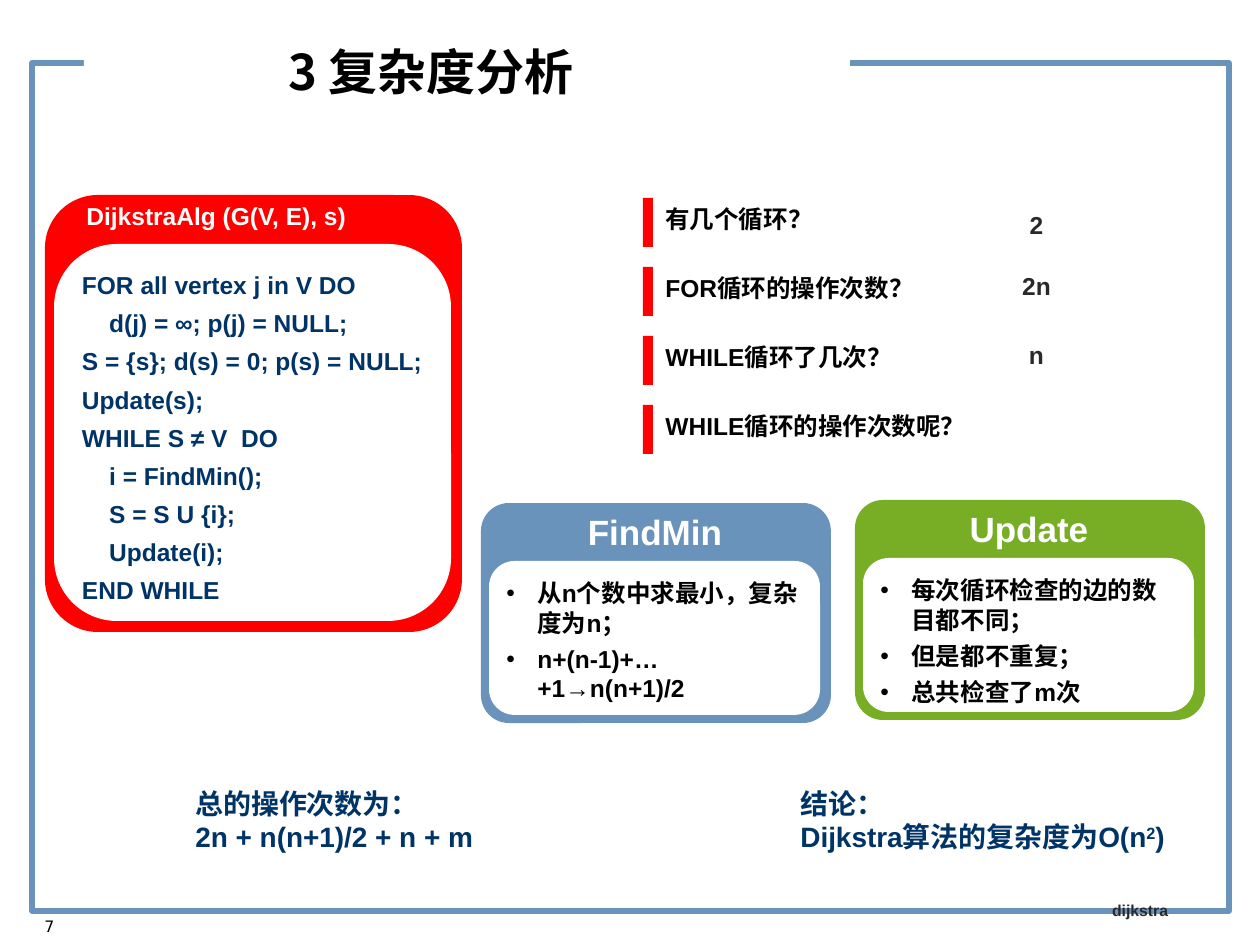
from lxml import etree
from pptx import Presentation
from pptx import util as u
from pptx.dml.color import RGBColor
from pptx.enum import shapes, text
from pptx.oxml.ns import qn

PX = u.Inches(1) / 126
LATIN, HAN = "Arial", "Noto Sans CJK SC"
BLUE, GREEN, RED, WHITE = "6A93BC", "77AE26", "FF0000", "FFFFFF"
BLACK, NAVY, GREY = "000000", "003366", "292929"
RECT = shapes.MSO_SHAPE.RECTANGLE
ROUND = shapes.MSO_SHAPE.ROUNDED_RECTANGLE
CENTER = text.PP_ALIGN.CENTER

CODE = [
    "FOR all vertex j in V DO",
    "    d(j) = ∞; p(j) = NULL;",
    "S = {s}; d(s) = 0; p(s) = NULL;",
    "Update(s);",
    "WHILE S ≠ V  DO",
    "    i = FindMin();",
    "    S = S U {i};",
    "    Update(i);",
    "END WHILE",
]
QUESTIONS = [
    ("有几个循环？", 287),
    ("FOR循环的操作次数？", 287),
    ("WHILE循环了几次？", 287),
    ("WHILE循环的操作次数呢？", 325),
]
ANSWERS = [("2", 204), ("2n", 265), ("n", 334)]


def emu(*lengths):
    return [u.Emu(round(length * PX)) for length in lengths]


def color(value):
    return RGBColor.from_string(value)


def add_block(parent, kind, place, fill=None, line=None, corner=None):
    block = parent.shapes.add_shape(kind, *emu(*place))
    block.shadow.inherit = False
    if fill:
        block.fill.solid()
        block.fill.fore_color.rgb = color(fill)
    else:
        block.fill.background()
    if line:
        block.line.color.rgb = color(line)
        block.line.width = u.Pt(3)
    else:
        block.line.fill.background()
    if corner:
        block.adjustments[0] = corner
    return block


def add_span(para, words, size, ink, font=LATIN, bold=True, raised=False):
    span = para.add_run()
    span.text = words
    span.font.size = u.Pt(size)
    span.font.bold = bold
    span.font.name = font
    span.font.color.rgb = color(ink)
    props = span._r.get_or_add_rPr()
    etree.SubElement(props, qn("a:ea")).set("typeface", HAN)
    if raised:
        props.set("baseline", "30000")


def add_bullet(para):
    """Give the paragraph a round bullet and a hanging indent."""
    props = para._p.get_or_add_pPr()
    indent = emu(31)[0]
    props.set("marL", str(indent))
    props.set("indent", str(-indent))
    etree.SubElement(props, qn("a:buFont")).set("typeface", LATIN)
    etree.SubElement(props, qn("a:buChar")).set("char", "•")


def add_text(parent, place, lines, size, ink, align=None, spacing=None,
             bullets=False, side=None, font=LATIN, bold=True):
    """Write one paragraph per line; a tuple line holds spans, odd ones raised."""
    box = parent.shapes.add_textbox(*emu(*place))
    frame = box.text_frame
    frame.word_wrap = True
    if side is not None:
        frame.margin_left = frame.margin_right = emu(side)[0]
    for row, line in enumerate(lines):
        para = frame.add_paragraph() if row else frame.paragraphs[0]
        if align is not None:
            para.alignment = align
        if spacing:
            para.line_spacing = spacing
        if bullets:
            if row:
                para.space_before = u.Pt(4)
            add_bullet(para)
        spans = line if isinstance(line, tuple) else (line,)
        for order, words in enumerate(spans):
            add_span(para, words, size, ink, font, bold, order % 2 == 1)
    return box


def add_title(page, words):
    title = page.shapes.title
    title.element.getparent().append(title.element)
    title.left, title.top, title.width, title.height = emu(95, 32, 672, 78)
    frame = title.text_frame
    frame.vertical_anchor = text.MSO_ANCHOR.MIDDLE
    para = frame.paragraphs[0]
    para.alignment = CENTER
    add_span(para, words, 28, BLACK, HAN)


def add_algorithm(page):
    group = page.shapes.add_group_shape()
    add_block(group, ROUND, (45, 195, 417, 437), RED, corner=0.127)
    add_block(group, ROUND, (54, 244, 397, 377), WHITE, corner=0.167)
    add_text(group, (74, 195, 307, 42), ["DijkstraAlg (G(V, E), s)"], 14, WHITE)
    add_text(group, (74, 255, 367, 355), CODE, 14, NAVY, spacing=1.3, side=8)


def add_question(page, top, words, width):
    group = page.shapes.add_group_shape()
    add_text(group, (653, top, width, 42), [words], 14, BLACK)
    add_block(group, RECT, (643, top, 10, 49), RED)


def add_card(page, left, top, fill, heading, points, height):
    group = page.shapes.add_group_shape()
    add_block(group, ROUND, (left, top, 350, 220), fill, corner=0.127)
    add_block(group, ROUND, (left + 8, top + 58, 331, 154), WHITE, corner=0.167)
    add_text(group, (left + 60, top + 1, 228, 54), [heading], 20, WHITE, CENTER)
    add_text(group, (left + 13, top + 69, 319, height), points, 14, BLACK,
             bullets=True)


def main():
    deck = Presentation()
    deck.slide_width, deck.slide_height = emu(1260, 945)
    page = deck.slides.add_slide(deck.slide_layouts[5])

    add_block(page, RECT, (32, 63, 1197, 848), line=BLUE)
    add_block(page, RECT, (84, 19, 766, 150), WHITE)
    add_text(page, (32, 911, 294, 34), ["7"], 9, BLACK,
             font="DejaVu Sans", bold=False)
    add_title(page, "3 复杂度分析")

    add_algorithm(page)
    for row, (words, width) in enumerate(QUESTIONS):
        add_question(page, 198 + 69 * row, words, width)
    for words, top in ANSWERS:
        add_text(page, (997, top, 79, 42), [words], 14, GREY, CENTER)

    add_card(page, 481, 503, BLUE, "FindMin",
             ["从n个数中求最小，复杂度为n；", "n+(n-1)+…+1→n(n+1)/2"], 111)
    add_card(page, 855, 500, GREEN, "Update",
             ["每次循环检查的边的数目都不同；", "但是都不重复；", "总共检查了m次"], 147)

    add_text(page, (183, 780, 358, 81),
             ["总的操作次数为：", "2n + n(n+1)/2 + n + m"], 16, NAVY)
    add_text(page, (788, 780, 407, 81),
             ["结论：", ("Dijkstra算法的复杂度为O(n", "2", ")")], 16, NAVY)
    add_text(page, (1062, 895, 156, 31), ["dijkstra"], 9, GREY, CENTER)
    deck.save("out.pptx")


if __name__ == "__main__":
    main()
